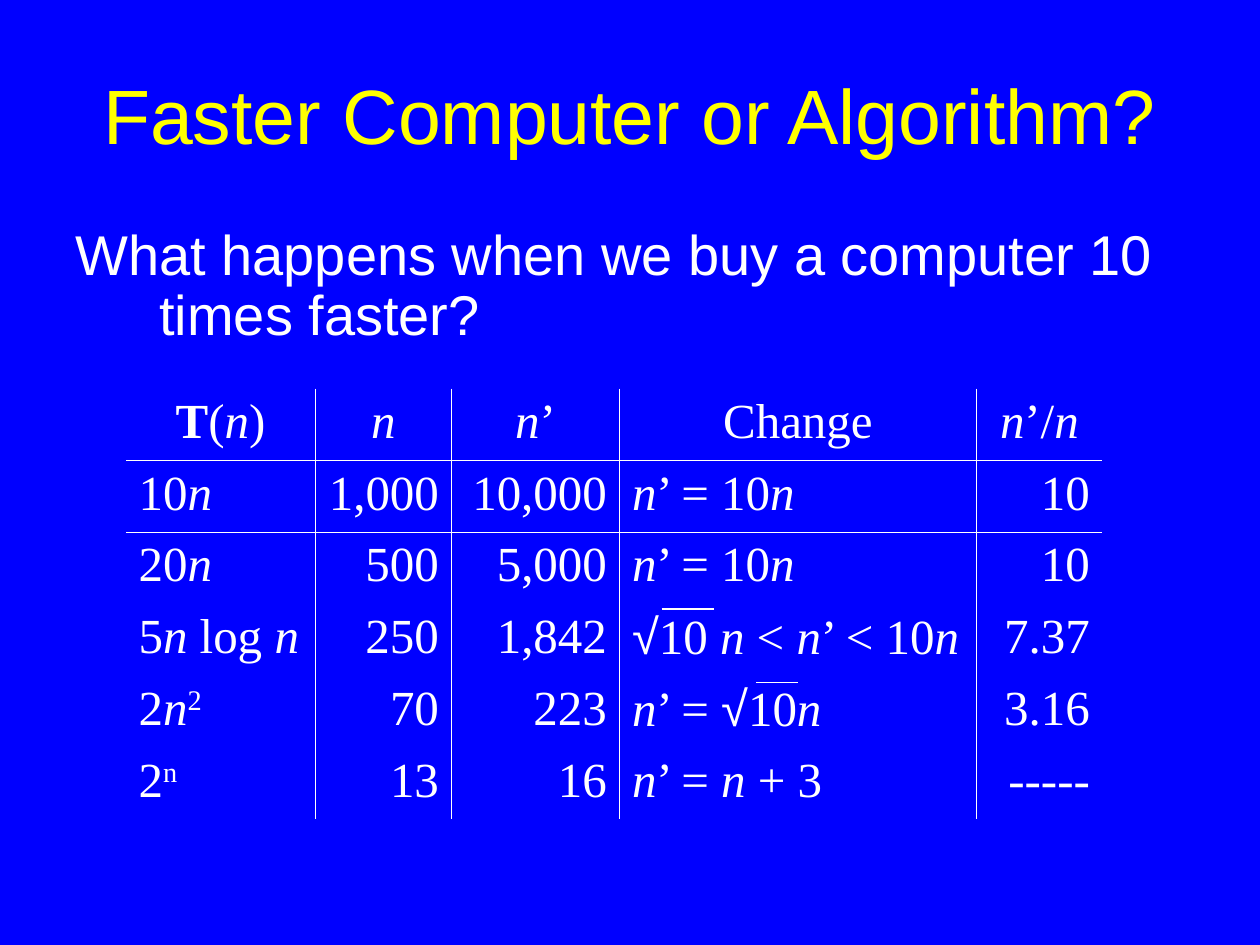
from lxml import etree
from pptx import Presentation
from pptx.dml.color import RGBColor
from pptx.enum.shapes import MSO_CONNECTOR
from pptx.enum.text import MSO_ANCHOR, PP_ALIGN
from pptx.oxml.ns import qn
from pptx.util import Pt

LEFT, CENTER, RIGHT = PP_ALIGN.LEFT, PP_ALIGN.CENTER, PP_ALIGN.RIGHT
MIDDLE = MSO_ANCHOR.MIDDLE
STRAIGHT = MSO_CONNECTOR.STRAIGHT
BLUE, YELLOW, WHITE = "0000FF", "FFFF00", "FFFFFF"
SANS, SERIF = "Arial", "Times New Roman"
NO_STYLE = "{2D5ABB26-0587-4C30-8999-92F81FD0307C}"

COL_WIDTHS = [108, 78, 96, 204, 72]
COL_ALIGNS = [LEFT, RIGHT, RIGHT, LEFT, RIGHT]
ROW_HEIGHT = 41
ROWS = [
    ["!T|(|_n|)", "_n", "_n|’", "Change", "_n|’/|_n"],
    ["10|_n", "1,000", "10,000", "_n|’ = 10|_n", "10"],
    ["20|_n", "500", "5,000", "_n|’ = 10|_n", "10"],
    ["5|_n| log |_n", "250", "1,842", "√|10 |_n| < |_n|’ < 10|_n", "7.37"],
    ["2|_n|^2", "70", "223", "_n|’ = |√|10|_n", "3.16"],
    ["2|^n", "13", "16", "_n|’ = |_n| + 3", "-----"],
]


def rgb(value):
    """Return the colour for a hex string."""
    return RGBColor.from_string(value)


def add_run(p, text, size, font, color=WHITE):
    """Append a formatted run to a paragraph and return it."""
    r = p.add_run()
    r.text = text
    r.font.size = Pt(size)
    r.font.name = font
    r.font.color.rgb = rgb(color)
    return r


def add_formula(p, formula):
    """Add runs split at |, where _ marks italic, ! bold and ^ superscript."""
    for part in formula.split("|"):
        mark = part[0] if part[0] in "_!^" else ""
        text = part[len(mark):]
        r = add_run(p, text, 28, SANS if text == "√" else SERIF)
        r.font.italic = mark == "_"
        r.font.bold = mark == "!"
        if mark == "^":
            r.font._element.set("baseline", "30000")


def add_borders(cell, sides):
    """Draw thin white lines on the given sides of a cell."""
    tcPr = cell._tc.get_or_add_tcPr()
    for i, side in enumerate(sides):
        ln = etree.Element(qn("a:ln" + side), w=str(Pt(0.45)))
        fill = etree.SubElement(ln, qn("a:solidFill"))
        etree.SubElement(fill, qn("a:srgbClr"), val=WHITE)
        tcPr.insert(i, ln)


def place_title(s, left, top, width, height):
    """Move and fill the title placeholder."""
    sp = s.shapes.title
    sp.left, sp.top, sp.width, sp.height = Pt(left), Pt(top), Pt(width), Pt(height)
    tf = sp.text_frame
    tf.vertical_anchor = MIDDLE
    p = tf.paragraphs[0]
    p.alignment = CENTER
    add_run(p, "Faster Computer or Algorithm?", 44, SANS, YELLOW)


def place_question(s, left, top, width, height):
    """Write the question with a hanging indent."""
    sp = s.shapes.add_textbox(Pt(left), Pt(top), Pt(width), Pt(height))
    tf = sp.text_frame
    tf.word_wrap = True
    p = tf.paragraphs[0]
    p.line_spacing = 0.9
    pPr = p._p.get_or_add_pPr()
    pPr.set("marL", str(Pt(48)))
    pPr.set("indent", str(Pt(-48)))
    add_run(p, "What happens when we buy a computer 10 times faster?", 32, SANS)


def place_table(s, left, top):
    """Build the growth table with inner column lines and a header rule."""
    n_rows, n_cols = len(ROWS), len(COL_WIDTHS)
    table = s.shapes.add_table(n_rows, n_cols, Pt(left), Pt(top),
                               Pt(sum(COL_WIDTHS)), Pt(ROW_HEIGHT * n_rows)).table
    table.first_row = table.horz_banding = False
    table._tbl.tblPr.find(qn("a:tableStyleId")).text = NO_STYLE
    for col, width in zip(table.columns, COL_WIDTHS):
        col.width = Pt(width)
    for i, row in enumerate(ROWS):
        table.rows[i].height = Pt(ROW_HEIGHT)
        for j, formula in enumerate(row):
            cell = table.cell(i, j)
            cell.fill.background()
            p = cell.text_frame.paragraphs[0]
            p.alignment = COL_ALIGNS[j] if i else CENTER
            add_formula(p, formula)
            shown = {"L": j > 0, "R": j < n_cols - 1, "T": i == 1, "B": i == 0}
            add_borders(cell, [side for side, on in shown.items() if on])


def place_root_bar(s, left, top, width):
    """Draw the bar over the number under a root sign."""
    bar = s.shapes.add_connector(STRAIGHT, Pt(left), Pt(top), Pt(left + width), Pt(top))
    bar.line.color.rgb = rgb(WHITE)
    bar.line.width = Pt(0.75)
    etree.SubElement(bar._element.spPr, qn("a:effectLst"))


def main():
    """Build and save the slide."""
    prs = Presentation()
    prs.slide_width, prs.slide_height = Pt(720), Pt(540)
    s = prs.slides.add_slide(prs.slide_layouts[5])
    s.background.fill.solid()
    s.background.fill.fore_color.rgb = rgb(BLUE)
    place_title(s, 36, 28.8, 648, 72)
    place_question(s, 36, 126, 648, 360)
    place_table(s, 72, 222)
    place_root_bar(s, 378, 348, 30)
    place_root_bar(s, 432, 390, 24)
    prs.save("out.pptx")


if __name__ == "__main__":
    main()
